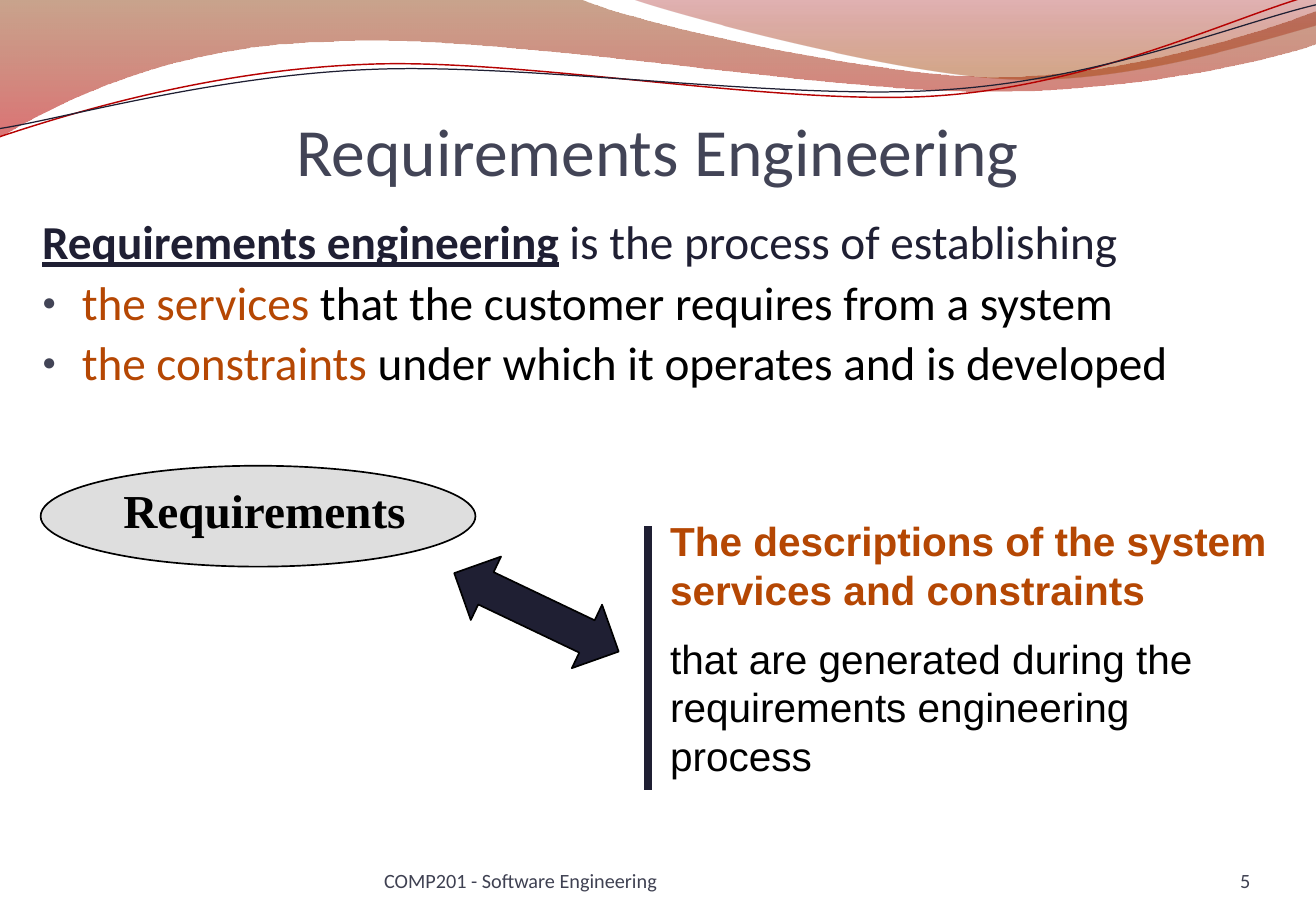
from dataclasses import dataclass, field
from typing import Any

from lxml import etree
from pptx import Presentation
from pptx import util as u
from pptx.dml.color import RGBColor
from pptx.enum import shapes, text
from pptx.oxml.ns import qn

NAVY = RGBColor(0x1F, 0x1F, 0x33)
SLATE = RGBColor(0x42, 0x44, 0x56)
FOOTER_GREY = RGBColor(0x3F, 0x41, 0x52)
RUST = RGBColor(0xB5, 0x47, 0x03)
BLACK = RGBColor(0, 0, 0)
PALE_GREY = RGBColor(0xDE, 0xDE, 0xDE)
RED = RGBColor(0xB6, 0x02, 0x02)
BROWN = RGBColor(0x88, 0x34, 0x00)
CRIMSON = RGBColor(0xBD, 0x00, 0x00)
MAROON = RGBColor(0x9A, 0x00, 0x00)
AMBER = RGBColor(0xA2, 0x3E, 0x00)

BULLET_INDENT = u.Cm(0.83)
LINE_TILT = 357.3


@dataclass
class Stop:
    """A gradient stop: position and opacity run from 0 to 1."""
    position: float
    color: RGBColor
    opacity: float


@dataclass
class Wave:
    """An outline in cm; a segment has 2 numbers (line) or 6 (cubic curve)."""
    start: tuple[float, float]
    segments: list[tuple[float, ...]]
    stops: list[Stop] = field(default_factory=list)
    color: RGBColor = NAVY
    width: float = 0.75


@dataclass
class Span:
    """Words in one colour with their font formats."""
    words: str
    color: RGBColor
    formats: dict[str, Any] = field(default_factory=dict)


@dataclass
class Para:
    """A paragraph of spans."""
    spans: list[Span]
    bulleted: bool = False
    formats: dict[str, Any] = field(default_factory=dict)


@dataclass
class Block:
    """A text box; place is left, top, width and height in cm."""
    place: tuple[float, float, float, float]
    font: dict[str, Any]
    paras: list[Para]
    frame: dict[str, Any] = field(default_factory=dict)


def build_outline(page: Any, wave: Wave) -> Any:
    """Build the freeform, turning each three-point segment into a curve."""
    builder = page.shapes.build_freeform(*(u.Cm(n) for n in wave.start), scale=1.0)
    points = [(u.Cm(x), u.Cm(y)) for segment in wave.segments
              for x, y in zip(segment[::2], segment[1::2])]
    builder.add_line_segments(points, close=bool(wave.stops))
    shape = builder.convert_to_shape()
    steps = iter(list(shape.element.iter(qn("a:lnTo"))))
    for segment in wave.segments:
        group = [next(steps) for _ in segment[::2]]
        if len(group) == 3:
            curve = etree.Element(qn("a:cubicBezTo"))
            group[0].addprevious(curve)
            for step in group:
                curve.append(step[0])
                step.getparent().remove(step)
    return shape


def draw_wave(page: Any, wave: Wave) -> None:
    """Draw a gradient band, or a thin tilted curve if there are no stops."""
    shape = build_outline(page, wave)
    shape.shadow.inherit = False
    if not wave.stops:
        shape.rotation = LINE_TILT
        shape.fill.background()
        shape.line.color.rgb = wave.color
        shape.line.width = u.Pt(wave.width)
        return
    shape.line.fill.background()
    shape.fill.gradient()
    shape.fill.gradient_angle = 270
    for target, stop in zip(shape.fill.gradient_stops, wave.stops):
        target.position = stop.position
        target.color.rgb = stop.color
    for color, stop in zip(shape.element.iter(qn("a:srgbClr")), wave.stops):
        etree.SubElement(color, qn("a:alpha"), val=str(round(stop.opacity * 100000)))


def add_bullet(para: Any) -> None:
    """Give the paragraph a small slate bullet and a hanging indent."""
    props = para._p.get_or_add_pPr()
    props.set("marL", str(BULLET_INDENT))
    props.set("indent", str(-BULLET_INDENT))
    color = etree.SubElement(props, qn("a:buClr"))
    etree.SubElement(color, qn("a:srgbClr"), val=str(SLATE))
    etree.SubElement(props, qn("a:buSzPct"), val="50000")
    etree.SubElement(props, qn("a:buFont"), typeface="Arial")
    etree.SubElement(props, qn("a:buChar"), char="●")


def draw_block(page: Any, block: Block) -> None:
    """Draw a text box with its paragraphs."""
    box = page.shapes.add_textbox(*(u.Cm(n) for n in block.place))
    frame = box.text_frame
    for name, value in ({"word_wrap": True} | block.frame).items():
        setattr(frame, name, value)
    for index, item in enumerate(block.paras):
        para = frame.add_paragraph() if index else frame.paragraphs[0]
        for name, value in item.formats.items():
            setattr(para, name, value)
        if item.bulleted:
            add_bullet(para)
        for part in item.spans:
            span = para.add_run()
            span.text = part.words
            for name, value in (block.font | part.formats).items():
                setattr(span.font, name, value)
            span.font.color.rgb = part.color


def draw_preset(page: Any, kind: Any, place: tuple[float, ...], fill: RGBColor) -> Any:
    """Draw a filled preset shape with a thin black outline."""
    shape = page.shapes.add_shape(kind, *(u.Cm(n) for n in place))
    shape.shadow.inherit = False
    shape.fill.solid()
    shape.fill.fore_color.rgb = fill
    shape.line.color.rgb = BLACK
    shape.line.width = u.Pt(1)
    return shape


def draw_bar(page: Any, x: float, top: float, bottom: float) -> None:
    """Draw the thick vertical rule beside the description."""
    bar = page.shapes.add_connector(shapes.MSO_CONNECTOR.STRAIGHT,
                                    u.Cm(x), u.Cm(top), u.Cm(x), u.Cm(bottom))
    bar.line.color.rgb = NAVY
    bar.line.width = u.Pt(4.5)
    etree.SubElement(bar.element.spPr, qn("a:effectLst"))


def font(name: str, size: float, **formats: Any) -> dict[str, Any]:
    """Return font formats."""
    return {"name": name, "size": u.Pt(size), **formats}


WAVES = [
    Wave((0, 0), [(12.12, -0.03), (13.08, 0.43, 18.26, 1.6, 20.88, 1.6),
                  (23.47, 1.6, 26.37, 0.66, 27.51, 0.23), (27.53, 0.91),
                  (27.05, 1.12, 23.93, 1.93, 20.52, 1.91), (17.12, 1.91, 10.52, 0.71, 7.09, 0.86),
                  (3.56, 0.91, 1.27, 2.11, -0.03, 2.87)],
         [Stop(0, BROWN, 0.45), Stop(1, CRIMSON, 0.55)]),
    Wave((13.18, -0.03), [(14.02, 0.28, 18.77, 1.57, 21.16, 1.65),
                          (23.6, 1.75, 26.47, 0.81, 27.51, 0.53), (27.51, 0)],
         [Stop(0, MAROON, 0.3), Stop(0.8, AMBER, 0.45)]),
    Wave((-0.05, 2.21), [(1.3, 1.83, 4.34, 1.03, 7.62, 1.06), (10.87, 1.06, 16.28, 2.36, 19.58, 2.28),
                         (22.89, 2.21, 25.88, 0.9, 27.51, 0.54)], color=RED, width=0.85),
    Wave((-0.05, 2.04), [(1.27, 1.9, 4.5, 1.14, 7.8, 1.17), (11.07, 1.19, 16.41, 2.24, 19.69, 2.16),
                         (22.99, 2.11, 25.93, 1.05, 27.56, 0.75)]),
]

BOTTOM = {"vertical_anchor": text.MSO_ANCHOR.BOTTOM, "margin_left": 0, "margin_right": 0, "margin_bottom": 0}
FOOT = BOTTOM | {"margin_top": 0}
TIGHT = {"line_spacing": 0.9}
ITEM = TIGHT | {"space_before": u.Pt(5.6)}
BOLD = {"bold": True}
BLOCKS = [
    Block((1.36, 1.96, 24.77, 2.01), font("Calibri", 40),
          [Para([Span("Requirements Engineering", SLATE)], formats={"alignment": text.PP_ALIGN.CENTER})], BOTTOM),
    Block((0.63, 4.45, 26.04, 3.94), font("Calibri", 28), [
        Para([Span("Requirements engineering", NAVY, BOLD | {"underline": True}),
              Span(" is the process of establishing", NAVY)], formats=TIGHT),
        Para([Span("the services ", RUST),
              Span("that the customer requires from a system", BLACK)], True, ITEM),
        Para([Span("the constraints ", RUST),
              Span("under which it operates and is developed", BLACK)], True, ITEM)]),
    Block((2.33, 9.94, 6.96, 1.45), font("Times New Roman", 28, bold=True),
          [Para([Span("Requirements", BLACK)])]),
    Block((13.76, 10.67, 13.13, 5.84), font("Arial", 24), [
        Para([Span("The descriptions of the system services and constraints", RUST, BOLD)]),
        Para([Span("that are generated during the requirements engineering process", BLACK)],
             formats={"space_before": u.Pt(12)})]),
    Block((23.85, 17.65, 2.29, 1.02), font("Calibri", 12),
          [Para([Span("5", FOOTER_GREY)], formats={"alignment": text.PP_ALIGN.RIGHT})], FOOT),
    Block((8.03, 17.65, 10.08, 1.02), font("Calibri", 12),
          [Para([Span("COMP201 - Software Engineering", FOOTER_GREY)])], FOOT),
]

deck = Presentation()
deck.slide_width, deck.slide_height = u.Cm(27.51), u.Cm(19.05)
page = deck.slides.add_slide(deck.slide_layouts[6])
for wave in WAVES:
    draw_wave(page, wave)
draw_preset(page, shapes.MSO_SHAPE.OVAL, (0.85, 9.74, 9.09, 2.11), PALE_GREY)
arrow = draw_preset(page, shapes.MSO_SHAPE.UP_DOWN_ARROW, (10.48, 10.9, 1.47, 3.81), NAVY)
arrow.rotation = 295.5
arrow.adjustments[1] = 0.51
draw_bar(page, 13.54, 11, 16.51)
for block in BLOCKS:
    draw_block(page, block)
deck.save("out.pptx")
